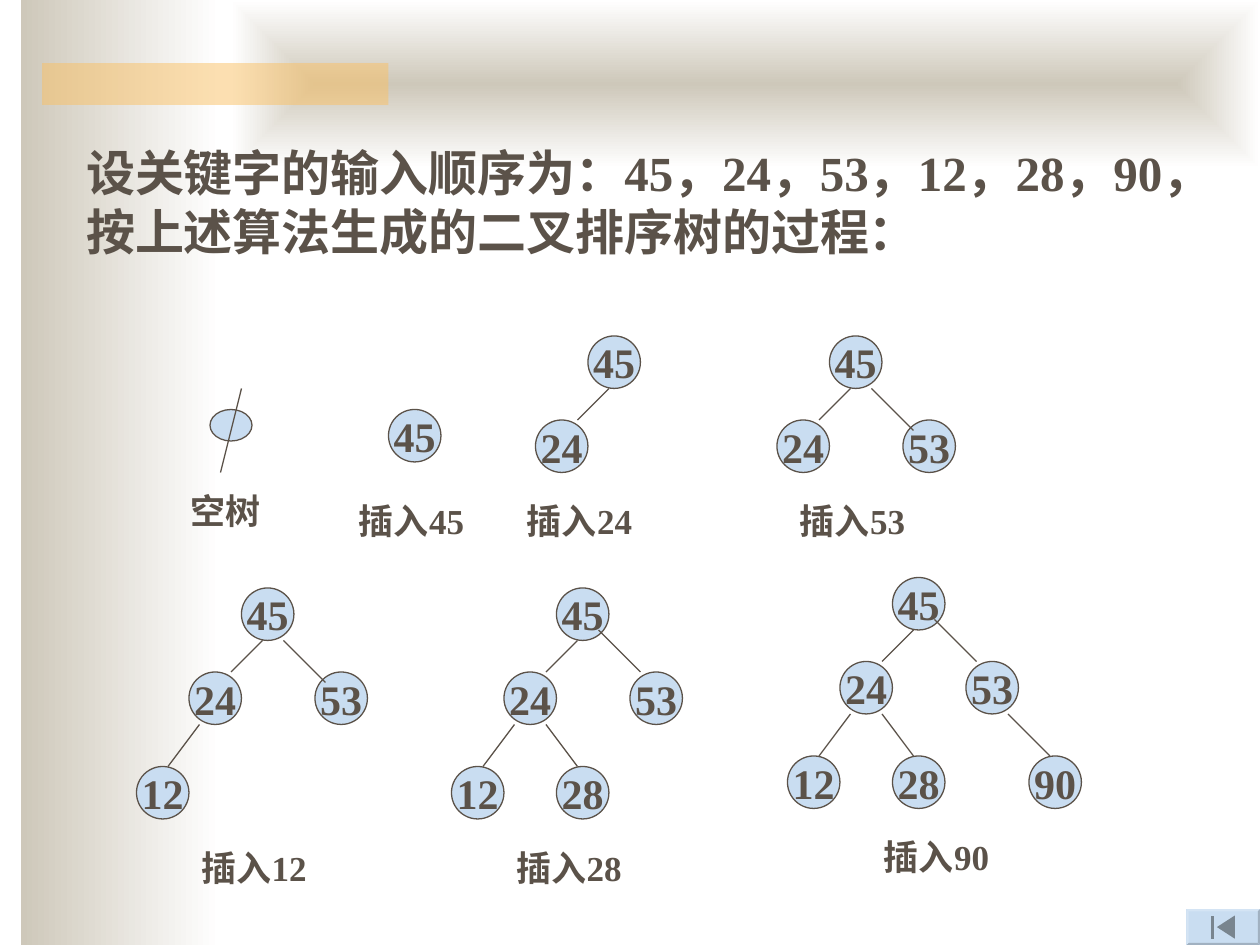
from dataclasses import dataclass
from typing import NamedTuple

from lxml import etree
from pptx import Presentation
from pptx import util as u
from pptx.dml import color
from pptx.enum import shapes, text
from pptx.oxml import ns

PX = u.Inches(1) // 120


@dataclass(frozen=True)
class Theme:
    font: str = "Times New Roman"
    ink: str = "5B5249"
    node: str = "C9DDF1"
    sand: str = "CEC8BA"
    paper: str = "FFFFFF"
    accent: str = "FAC164"
    bevel_light: str = "D4E4F4"
    bevel_dark: str = "A1B1C1"
    icon: str = "79858F"
    title_size: int = 28
    node_size: int = 24
    label_size: int = 20
    line_width: float = 0.75


class Box(NamedTuple):
    left: int
    top: int
    width: int
    height: int


class Place(NamedTuple):
    x: int
    y: int
    link: tuple[int, int, int, int] | None


@dataclass(frozen=True)
class Tree:
    keys: tuple[int, ...]
    root: tuple[int, int]
    label: tuple[int, int]
    raised: int = 0


THEME = Theme()
NODE = 50

PLACES = {
    45: Place(0, 0, None),
    24: Place(-50, 80, (20, 50, -10, 80)),
    53: Place(70, 80, (40, 50, 80, 90)),
    12: Place(-100, 170, (-40, 130, -70, 170)),
    28: Place(0, 170, (-10, 130, 20, 170)),
    90: Place(130, 170, (110, 130, 150, 170)),
}

KEYS = tuple(PLACES)[:3] + (12, 28, 90)
TREES = [
    Tree(KEYS[:1], (370, 390), (-40, 80)),
    Tree(KEYS[:2], (560, 320), (-70, 150)),
    Tree(KEYS[:3], (790, 320), (-40, 150)),
    Tree(KEYS[:4], (230, 560), (-50, 240)),
    Tree(KEYS[:5], (530, 560), (-50, 240), raised=10),
    Tree(KEYS[:6], (850, 550), (-20, 240), raised=10),
]

BUTTON_PARTS = [
    (THEME.node, [(1130, 866), (1200, 866), (1200, 900), (1130, 900)]),
    (THEME.bevel_light, [(1130, 866), (1200, 866), (1198, 868), (1132, 868)]),
    (THEME.bevel_dark, [(1200, 866), (1200, 900), (1198, 898), (1198, 868)]),
    (THEME.bevel_dark, [(1200, 900), (1130, 900), (1132, 898), (1198, 898)]),
    (THEME.bevel_light, [(1130, 900), (1130, 866), (1132, 868), (1132, 898)]),
    (THEME.icon, [(1159, 883), (1176, 872), (1176, 894)]),
    (THEME.icon, [(1153, 872), (1156, 872), (1156, 894), (1153, 894)]),
]


def rgb(value: str) -> color.RGBColor:
    return color.RGBColor.from_string(value)


def scaled(*lengths: int) -> list[int]:
    return [length * PX for length in lengths]


def write(frame, content: str, *, size: int, align=text.PP_ALIGN.LEFT,
          anchor=text.MSO_ANCHOR.TOP, wrap: bool = True,
          fit=text.MSO_AUTO_SIZE.NONE) -> None:
    frame.word_wrap = wrap
    frame.auto_size = fit
    frame.vertical_anchor = anchor
    paragraph = frame.paragraphs[0]
    paragraph.alignment = align
    run = paragraph.add_run()
    run.text = content
    run.font.name = THEME.font
    run.font.size = u.Pt(size)
    run.font.bold = True
    run.font.color.rgb = rgb(THEME.ink)


def add_band(slide, box: Box):
    shape = slide.shapes.add_shape(shapes.MSO_SHAPE.RECTANGLE, *scaled(*box))
    shape.shadow.inherit = False
    shape.line.fill.background()
    return shape


def fade(shape) -> None:
    shape.fill.gradient()
    shape.fill.gradient_angle = 0
    for stop, position, value in zip(shape.fill.gradient_stops, (0, 1),
                                     (THEME.sand, THEME.paper)):
        stop.position = position
        stop.color.rgb = rgb(value)


def fade_from_centre(shape) -> None:
    fade(shape)
    linear = shape._element.spPr.find(".//" + ns.qn("a:lin"))
    gradient = linear.getparent()
    gradient.remove(linear)
    route = etree.SubElement(gradient, ns.qn("a:path"), path="rect")
    etree.SubElement(route, ns.qn("a:fillToRect"),
                     dict.fromkeys("ltrb", "50000"))


def add_background(slide) -> None:
    fade(add_band(slide, Box(20, 0, 190, 900)))
    fade_from_centre(add_band(slide, Box(220, 0, 980, 160)))
    bar = add_band(slide, Box(40, 60, 330, 40))
    bar.fill.solid()
    bar.fill.fore_color.rgb = rgb(THEME.accent)
    tint = bar._element.spPr.find(".//" + ns.qn("a:srgbClr"))
    etree.SubElement(tint, ns.qn("a:alpha"), val="50000")


def add_button(slide) -> None:
    group = slide.shapes.add_group_shape()
    for fill, points in BUTTON_PARTS:
        builder = group.shapes.build_freeform(*points[0], scale=PX)
        builder.add_line_segments(points[1:], close=True)
        part = builder.convert_to_shape()
        part.shadow.inherit = False
        part.fill.solid()
        part.fill.fore_color.rgb = rgb(fill)
        part.line.fill.background()


def add_oval(group, box: Box):
    oval = group.shapes.add_shape(shapes.MSO_SHAPE.OVAL, *scaled(*box))
    oval.shadow.inherit = False
    oval.fill.solid()
    oval.fill.fore_color.rgb = rgb(THEME.node)
    oval.line.color.rgb = rgb(THEME.ink)
    oval.line.width = u.Pt(THEME.line_width)
    return oval


def add_link(group, *ends: int) -> None:
    link = group.shapes.add_connector(shapes.MSO_CONNECTOR.STRAIGHT, *scaled(*ends))
    link.line.color.rgb = rgb(THEME.ink)
    link.line.width = u.Pt(THEME.line_width)
    etree.SubElement(link._element.spPr, ns.qn("a:effectLst"))


def add_label(group, content: str, left: int, top: int, width: int = 140) -> None:
    label = group.shapes.add_textbox(*scaled(left, top, width, 53))
    write(label.text_frame, content, size=THEME.label_size,
          fit=text.MSO_AUTO_SIZE.SHAPE_TO_FIT_TEXT)


def add_empty_tree(slide) -> None:
    group = slide.shapes.add_group_shape()
    add_oval(group, Box(200, 390, 40, 30))
    add_link(group, 230, 370, 210, 450)
    add_label(group, "空树", 170, 460, 100)


def add_tree(slide, tree: Tree) -> None:
    group = slide.shapes.add_group_shape()
    x, y = tree.root
    for key in tree.keys:
        place = PLACES[key]
        node = add_oval(group, Box(x + place.x, y + place.y, NODE, NODE))
        write(node.text_frame, str(key), size=THEME.node_size, wrap=False,
              align=text.PP_ALIGN.CENTER, anchor=text.MSO_ANCHOR.MIDDLE)
        if place.link:
            x1, y1, x2, y2 = place.link
            lift = tree.raised if key == 53 else 0
            add_link(group, x + x1, y + y1 - lift, x + x2, y + y2 - lift)
    add_label(group, f"插入{tree.keys[-1]}", x + tree.label[0], y + tree.label[1])


def main() -> None:
    presentation = Presentation()
    presentation.slide_width, presentation.slide_height = scaled(1200, 900)
    slide = presentation.slides.add_slide(presentation.slide_layouts[5])
    add_background(slide)
    add_button(slide)
    title = slide.shapes.title
    title.left, title.top, title.width, title.height = scaled(70, 130, 1100, 125)
    write(title.text_frame,
          "设关键字的输入顺序为：45，24，53，12，28，90，按上述算法生成的二叉排序树的过程：",
          size=THEME.title_size)
    slide.shapes._spTree.append(title._element)
    add_empty_tree(slide)
    for tree in TREES:
        add_tree(slide, tree)
    presentation.save("out.pptx")


if __name__ == "__main__":
    main()
